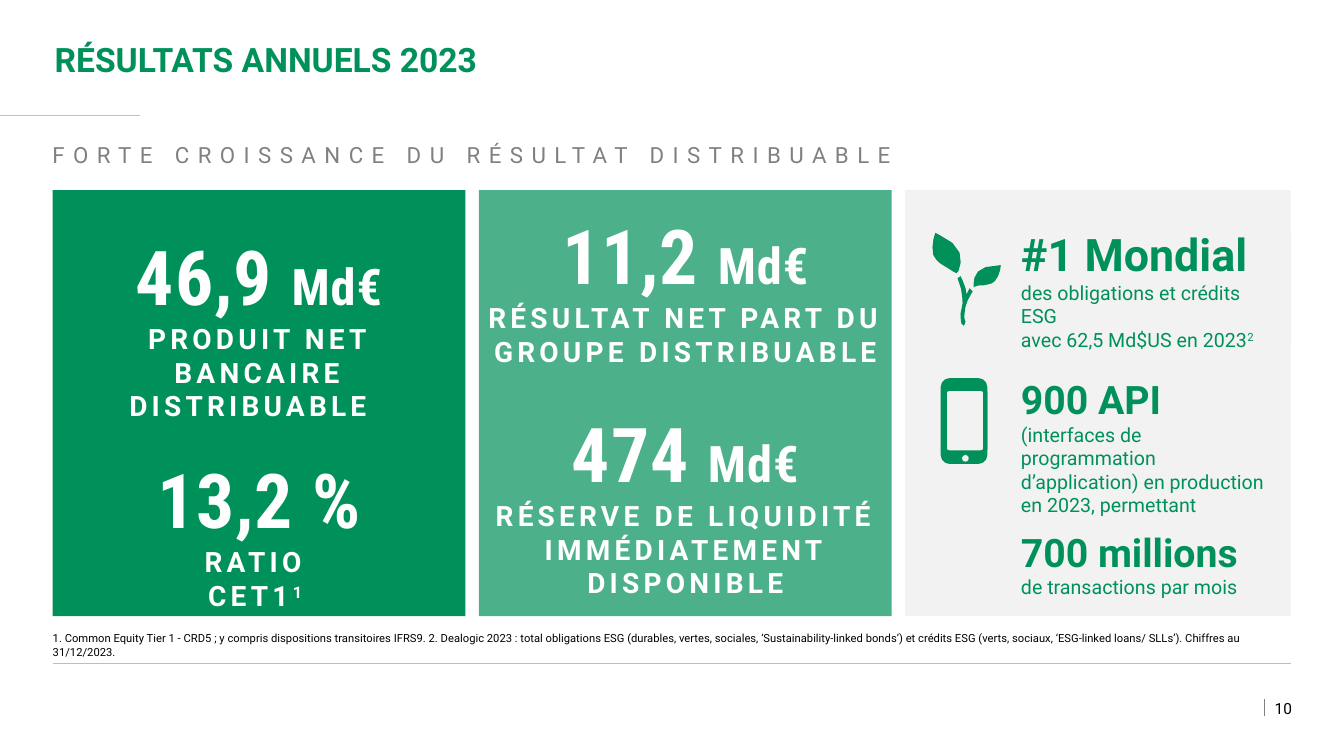
from lxml.etree import SubElement
from pptx import Presentation
from pptx.dml.color import RGBColor
from pptx.enum.shapes import MSO_CONNECTOR, MSO_SHAPE
from pptx.enum.text import MSO_ANCHOR, MSO_AUTO_SIZE, PP_ALIGN
from pptx.oxml.ns import qn
from pptx.util import Cm, Pt

GREEN, PALE, WHITE, GREY, BLACK = "00915A", "F2F2F2", "FFFFFF", "808080", "000000"

# Outlines in hundredths of an inch: a start point, then cubic curves
STEM = (958, 319), [
    (958, 321, 958, 322, 957, 322), (956, 323, 956, 323, 956, 323),
    (955, 323, 954, 322, 954, 321), (954, 321, 951, 313, 955, 301),
    (955, 299, 955, 286, 950, 276), (952, 275, 953, 275, 953, 274),
    (955, 277, 956, 281, 958, 286), (958, 288, 958, 290, 959, 292),
    (960, 290, 961, 288, 962, 286), (963, 288, 964, 288, 965, 289),
    (959, 298, 957, 306, 957, 311), (956, 316, 958, 319, 958, 319)]
SMALL = (993, 263), [
    (993, 267, 991, 275, 987, 279), (984, 282, 981, 282, 976, 283),
    (974, 283, 971, 283, 968, 284), (967, 284, 967, 285, 966, 285),
    (966, 284, 966, 283, 966, 282), (966, 276, 968, 268, 978, 265)]
LARGE = (951, 269), [
    (950, 270, 950, 270, 949, 271), (947, 270, 946, 269, 945, 269),
    (942, 267, 939, 265, 937, 264), (932, 261, 929, 259, 926, 253),
    (924, 246, 926, 236, 928, 231), (929, 231, 945, 241, 945, 241),
    (956, 250, 954, 262, 951, 269)]


def color(code):
    return RGBColor.from_string(code)


def trace(start, curves):
    """Turn cubic curves into points in EMU; long curves get more points."""
    spots = [start]
    for a, b, c, d, e, f in curves:
        x, y = spots[-1]
        steps = 3 if abs(e - x) + abs(f - y) > 8 else 1
        for i in range(1, steps + 1):
            t = i / steps
            u = 1 - t
            k, m, n, o = u ** 3, 3 * u * u * t, 3 * u * t * t, t ** 3
            spots.append((k * x + m * a + n * c + o * e, k * y + m * b + n * d + o * f))
    return [(Cm(x * 0.0254), Cm(y * 0.0254)) for x, y in spots]


class Deck:
    def __init__(self):
        self.show = Presentation()
        self.show.slide_width, self.show.slide_height = Cm(33.87), Cm(19.05)
        self.slide = self.show.slides.add_slide(self.show.slide_layouts[6])
        self.font = "Roboto"

    def group(self):
        return self.slide.shapes.add_group_shape().shapes

    def paint(self, shape, fill, line=None, width=0):
        shape.shadow.inherit = False
        shape.fill.solid()
        shape.fill.fore_color.rgb = color(fill)
        if line:
            shape.line.color.rgb = color(line)
            shape.line.width = Pt(width)
        else:
            shape.line.fill.background()

    def shape(self, kind, place, fill, line=None, width=0, into=None, alpha=None, round=None):
        shapes = into or self.slide.shapes
        item = shapes.add_shape(kind, *map(Cm, place))
        self.paint(item, fill, line, width)
        if round is not None:
            item.adjustments[0] = round
        if alpha:
            tint = item.fill._xPr.find(".//" + qn("a:srgbClr"))
            SubElement(tint, qn("a:alpha")).set("val", str(alpha * 1000))
        return item

    def free(self, into, outline):
        first, *rest = trace(*outline)
        pen = into.build_freeform(*first, scale=1.0)
        pen.add_line_segments(rest, close=True)
        self.paint(pen.convert_to_shape(), GREEN)

    def line(self, ends, tone, width):
        item = self.slide.shapes.add_connector(MSO_CONNECTOR.STRAIGHT, *map(Cm, ends))
        item.line.color.rgb = color(tone)
        item.line.width = Pt(width)
        SubElement(item._element.spPr, qn("a:effectLst"))

    def text(self, place, *paras, box=None, pad=(0, 0, 0, 0), wrap=True, grow=True,
             anchor=MSO_ANCHOR.TOP, align=PP_ALIGN.LEFT, gaps=None, **style):
        """Each paragraph is a list of (text, style changes) runs."""
        box = box or self.slide.shapes.add_textbox(*map(Cm, place))
        frame = box.text_frame
        frame.word_wrap = wrap
        frame.auto_size = MSO_AUTO_SIZE.SHAPE_TO_FIT_TEXT if grow else MSO_AUTO_SIZE.NONE
        frame.vertical_anchor = anchor
        (frame.margin_left, frame.margin_top,
         frame.margin_right, frame.margin_bottom) = map(Cm, pad)
        for i, runs in enumerate(paras):
            para = frame.paragraphs[0] if i == 0 else frame.add_paragraph()
            para.alignment = align
            if gaps and i in gaps:
                para.space_before = Pt(gaps[i])
            for words, change in runs:
                self.run(para, words, **{**style, **change})

    def run(self, para, words, size, tone, bold=False, font=None, track=0, base=0):
        run = para.add_run()
        run.text = words
        run.font.name = font or self.font
        run.font.size, run.font.bold = Pt(size), bold
        run.font.color.rgb = color(tone)
        props = run._r.get_or_add_rPr()
        if track:
            props.set("spc", str(round(track * 100)))
        if base:
            props.set("baseline", str(base * 1000))

    def stat(self, mid, top, figure, unit, label, wide, lines, shift=0):
        """A large figure centred on mid, with its label below."""
        look = dict(align=PP_ALIGN.CENTER, tone=WHITE, bold=True)
        runs = [(figure, {})] + ([(unit, {"size": 36})] if unit else [])
        self.text((mid - 3.9, top, 7.8, 2.31), runs, size=54,
                  font="Roboto Condensed", track=0.7, **look)
        self.text((mid - wide / 2 + shift, top + 2.31, wide, 0.85 * lines), label,
                  size=20, track=3, **look)


def main():
    deck = Deck()
    rect, oval, soft = MSO_SHAPE.RECTANGLE, MSO_SHAPE.OVAL, MSO_SHAPE.ROUNDED_RECTANGLE
    left, top, wide, high, step = 1.33, 4.79, 10.4, 10.74, 10.74

    deck.text((1.28, 0.01, 30.45, 1.98), [("RÉSULTATS ANNUELS 2023", {})], pad=(0.1, 0, 0.1, 0),
              grow=False, anchor=MSO_ANCHOR.BOTTOM, size=24, tone=GREEN, bold=True)
    deck.line((0, 2.92, 3.53, 2.92), "BFBFBF", 0.75)
    deck.text((1.07, 3.43, 24.28, 0.94), [("FORTE CROISSANCE DU RÉSULTAT DISTRIBUABLE", {})],
              pad=(0.25, 0.13, 0.25, 0.13), size=15.9, tone=GREY, track=6)

    deck.shape(rect, (left + 2 * step, top, 9.72, high), PALE)
    columns = [
        (None, [(5.79, "46,9 ", "Md€", [("PRODUIT NET BANCAIRE DISTRIBUABLE  ", {})], 7.42, 3),
                (11.42, "13,2 %", "", [("RATIO CET1", {}), ("1", {"base": 30})], 5.03, 1, -0.1)]),
        (70, [(5.26, "11,2 ", "Md€", [("RÉSULTAT NET PART DU GROUPE DISTRIBUABLE", {})], 10.21, 2),
              (10.25, "474 ", "Md€",
               [("RÉSERVE DE LIQUIDITÉ IMMÉDIATEMENT DISPONIBLE", {})], 9.91, 3)]),
    ]
    for i, (alpha, stats) in enumerate(columns):
        x = left + i * step
        deck.shape(rect, (x, top, wide, high), GREEN, alpha=alpha)
        for stat in stats:
            deck.stat(x + wide / 2, *stat)

    big, note = {"size": 28, "bold": True}, dict(size=14, tone=GREEN)
    side = dict(pad=(0, 0.13, 0.25, 0.13), anchor=MSO_ANCHOR.MIDDLE, **note)
    deck.text((25.73, 9.28, 6.45, 5.99), [("900 API", big)],
              [("(interfaces de programmation d’application) en production en 2023, permettant", {})],
              [("700 millions", big)], [("de transactions par mois", {})], gaps={2: 8}, **side)
    rank = deck.shape(rect, (25.73, 5.87, 6.81, 2.82), PALE)
    deck.text(None, [("#1 Mondial ", {"size": 32, "bold": True}),
                     ("des obligations et crédits ESG", {})],
              [("avec 62,5 Md$US en 2023", {}), ("2", {"base": 30})], box=rank, **side)

    plant = deck.group()
    for outline in (STEM, SMALL, LARGE):
        deck.free(plant, outline)
    phone = deck.group()
    deck.shape(soft, (23.76, 9.58, 1.07, 2.06), GREEN, GREEN, 3, phone)
    deck.shape(soft, (23.81, 9.8, 1.02, 1.6), PALE, GREEN, 3, phone, round=0.1)
    deck.shape(oval, (24.24, 11.46, 0.18, 0.18), PALE, GREEN, 0.25, phone)

    deck.text((left, 16.26, 31.19, 0.33), [(
        "1. Common Equity Tier 1 - CRD5 ; y compris dispositions transitoires IFRS9. "
        "2. Dealogic 2023 : total obligations ESG (durables, vertes, sociales, "
        "‘Sustainability-linked bonds’) et crédits ESG (verts, sociaux, "
        "‘ESG-linked loans/ SLLs’). Chiffres au 31/12/2023.", {})],
        anchor=MSO_ANCHOR.BOTTOM, size=8, tone=BLACK)
    deck.line((left, 16.71, 32.54, 16.71), "BEBEBE", 0.5)
    deck.line((31.86, 17.62, 31.86, 18.03), GREY, 0.75)
    deck.text((31.87, 17.61, 0.69, 0.48), [("10", {})], wrap=False, anchor=MSO_ANCHOR.MIDDLE,
              align=PP_ALIGN.RIGHT, size=11, tone=BLACK)
    deck.show.save("out.pptx")


if __name__ == "__main__":
    main()
